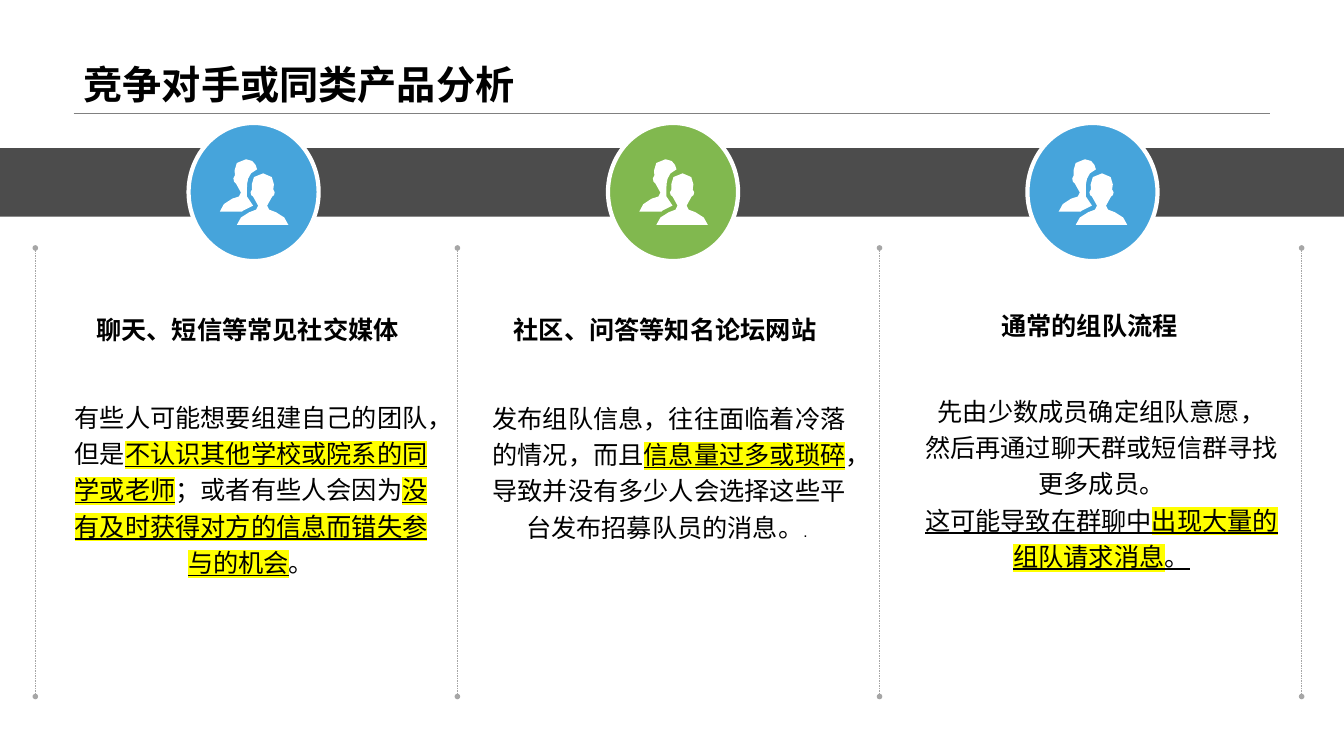
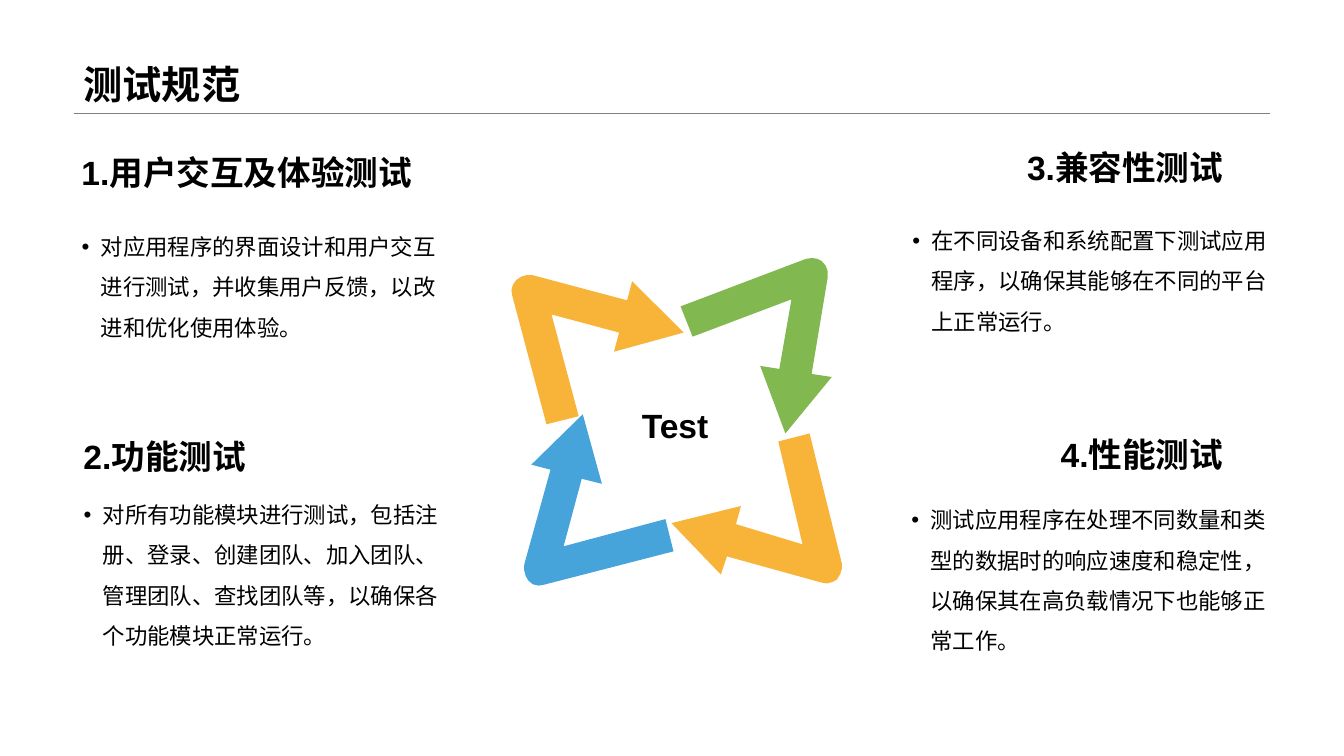
import dataclasses

import pptx
import pptx.dml.color
import pptx.enum.dml
import pptx.enum.shapes
import pptx.enum.text
import pptx.oxml
import pptx.oxml.ns
import pptx.util
from lxml import etree

Inches = pptx.util.Inches
Pt = pptx.util.Pt
qn = pptx.oxml.ns.qn
Align = pptx.enum.text.PP_ALIGN
Anchor = pptx.enum.text.MSO_ANCHOR
Preset = pptx.enum.shapes.MSO_SHAPE


@dataclasses.dataclass(frozen=True)
class Theme:
    """Colours, font and type sizes shared by the slides."""
    font: str = "Arial"
    ink: str = "000000"
    paper: str = "FFFFFF"
    rule: str = "808080"
    divider: str = "A6A6A6"
    marker: str = "FFFF00"
    blue: str = "46A4DB"
    green: str = "81B84F"
    amber: str = "F8B438"
    title: int = 28
    heading: int = 24
    column: int = 18
    bullet: int = 16
    small: int = 11


THEME = Theme()

# Outlines: a pair is a corner, six numbers are a Bezier curve to the last pair.
FRONT_PERSON = [
    (.49, .50), (.47, .46), (.52, .37), (.54, .37, .56, .32, .53, .30),
    (.54, .28, .56, .14, .43, .14), (.29, .14, .32, .28, .32, .30),
    (.29, .32, .31, .37, .33, .37), (.38, .46), (.36, .50),
    (.32, .51, .17, .57, .17, .65), (.68, .65), (.68, .57, .53, .51, .49, .50)]
BACK_PERSON = [
    (.23, .51), (.33, .46), (.29, .40), (.27, .37), (.27, .32), (.27, .28),
    (.27, .25, .27, .19, .31, .14), (.37, .10), (.36, .06, .34, 0, .26, 0),
    (.12, 0, .15, .14, .15, .16), (.12, .18, .14, .24, .16, .24),
    (.21, .33), (.19, .37), (.15, .37, 0, .44, 0, .52), (.22, .52)]

CYCLE_ARROWS = [
    (THEME.green, [
        (7.85, 2.97), (7.73, 3.66), (7.54, 3.63), (7.79, 4.3), (8.25, 3.74),
        (8.05, 3.71), (8.21, 2.75), (8.22, 2.69, 8.2, 2.63, 8.15, 2.59),
        (8.11, 2.56, 8.05, 2.55, 7.99, 2.57), (6.75, 3.04), (6.87, 3.34)]),
    (THEME.blue, [
        (5.77, 4.75), (5.97, 4.8), (5.78, 4.11), (5.27, 4.61), (5.46, 4.66),
        (5.2, 5.6), (5.19, 5.66, 5.21, 5.72, 5.24, 5.76),
        (5.28, 5.81, 5.34, 5.82, 5.4, 5.8), (6.68, 5.47), (6.6, 5.15),
        (5.59, 5.42)]),
    (THEME.amber, [
        (8.03, 4.3), (7.72, 4.38), (7.96, 5.4), (7.3, 5.2), (7.35, 5.02),
        (6.66, 5.19), (7.15, 5.7), (7.21, 5.52), (8.15, 5.78),
        (8.2, 5.8, 8.26, 5.78, 8.3, 5.75), (8.34, 5.7, 8.36, 5.64, 8.35, 5.59)]),
    (THEME.amber, [
        (5.42, 4.21), (5.74, 4.13), (5.47, 3.12), (6.14, 3.3), (6.09, 3.49),
        (6.78, 3.3), (6.27, 2.79), (6.22, 2.98), (5.28, 2.73),
        (5.22, 2.72, 5.16, 2.74, 5.12, 2.78), (5.08, 2.82, 5.06, 2.88, 5.08, 2.93)]),
]

UNDERLINED = {"underline": True}
MARKED = {"underline": True, "marked": True}

# Heading, its box, then the text's box and its paragraphs of (text, style) runs.
COMPETITORS = [
    ("聊天、短信等常见社交媒体", (0.6, 3.07, 3.71, 0.6), (0.57, 3.88, 3.84, 2.09), [
        [("有些人可能想要组建自己的团队，但是", {}),
         ("不认识其他学校或院系的同学或老师", MARKED),
         ("；或者有些人会因为", {}),
         ("没有及时获得对方的信息而错失参与的机会", MARKED),
         ("。", {})]]),
    ("社区、问答等知名论坛网站", (4.74, 3.07, 3.71, 0.78), (4.78, 3.89, 3.71, 2.09), [
        [("发布组队信息，往往面临着冷落的情况，而且", {}),
         ("信息量过多或琐碎", MARKED),
         ("，导致并没有多少人会选择这些平台发布招募队员的消息。", {}),
         (". ", {"size": THEME.small})]]),
    ("通常的组队流程", (8.95, 3.03, 3.71, 0.78), (9.07, 3.82, 3.71, 2.09), [
        [("先由少数成员确定组队意愿，", {})],
        [("然后再通过聊天群或短信群寻找更多成员。", {})],
        [("这可能导致在群聊中", UNDERLINED),
         ("出现大量的组队请求消息", MARKED),
         ("。", UNDERLINED)]]),
]

# Heading, its box, its alignment, then the list's box and item.
TESTS = [
    ("1.用户交互及体验测试", (0.71, 1.48, 3.93, 0.48), Align.LEFT,
     (0.71, 2.13, 3.93, 1.82),
     "对应用程序的界面设计和用户交互进行测试，并收集用户反馈，以改进和优化使用体验。"),
    ("2.功能测试", (0.73, 4.29, 3.93, 0.48), Align.LEFT,
     (0.73, 4.79, 3.93, 2.02),
     "对所有功能模块进行测试，包括注册、登录、创建团队、加入团队、管理团队、查找团队等，"
     "以确保各个功能模块正常运行。"),
    ("3.兼容性测试", (8.3, 1.43, 3.93, 0.48), Align.RIGHT,
     (8.95, 2.07, 3.93, 2.02),
     "在不同设备和系统配置下测试应用程序，以确保其能够在不同的平台上正常运行。"),
    ("4.性能测试", (8.3, 4.27, 3.93, 0.48), Align.RIGHT,
     (8.94, 4.84, 3.93, 2.02),
     "测试应用程序在处理不同数量和类型的数据时的响应速度和稳定性，"
     "以确保其在高负载情况下也能够正常工作。"),
]


def rgb(value):
    """Return a colour object for a hex string."""
    return pptx.dml.color.RGBColor.from_string(value)


def place(holder, box):
    """Move a shape to a box given in inches."""
    holder.left, holder.top, holder.width, holder.height = map(Inches, box)


def add_run(paragraph, text, size, bold=False, underline=False, marked=False):
    """Add one formatted run, optionally highlighted."""
    run = paragraph.add_run()
    run.text = text
    font = run.font
    font.size, font.bold, font.underline = Pt(size), bold, underline
    font.color.rgb = rgb(THEME.ink)
    properties = run._r.get_or_add_rPr()
    properties.set("lang", "zh-CN")
    if marked:
        highlight = etree.SubElement(properties, qn("a:highlight"))
        etree.SubElement(highlight, qn("a:srgbClr"), val=THEME.marker)
    font.name = THEME.font
    etree.SubElement(properties, qn("a:ea"), typeface=THEME.font)


def write(holder, paragraphs, size, align=Align.LEFT, anchor=Anchor.TOP,
          spacing=1.0, bold=False):
    """Fill a text holder with paragraphs of (text, style) runs."""
    frame = holder.text_frame
    frame.word_wrap = True
    frame.auto_size = pptx.enum.text.MSO_AUTO_SIZE.NONE
    frame.vertical_anchor = anchor
    for index, runs in enumerate(paragraphs):
        paragraph = frame.add_paragraph() if index else frame.paragraphs[0]
        paragraph.alignment = align
        paragraph.line_spacing = spacing
        paragraph.space_before = Pt(0)
        for text, style in runs:
            add_run(paragraph, text, **{"size": size, "bold": bold, **style})


def add_text(slide, box, paragraphs, size, **layout):
    """Add a text box."""
    holder = slide.shapes.add_textbox(*map(Inches, box))
    write(holder, paragraphs, size, **layout)


def add_heading(slide, box, text, size, **layout):
    """Add a single bold line of text."""
    add_text(slide, box, [[(text, {})]], size, bold=True, **layout)


def set_title(slide, text):
    """Place and fill the slide title."""
    place(slide.shapes.title, (0.73, 0, 11.87, 1.12))
    write(slide.shapes.title, [[(text, {})]], THEME.title,
          anchor=Anchor.BOTTOM, spacing=0.9, bold=True)


def fill_list(holder, box, item):
    """Turn a body placeholder into a bulleted list of one item."""
    place(holder, box)
    write(holder, [[(item, {})]], THEME.bullet, spacing=1.5)
    properties = holder.text_frame.paragraphs[0]._p.get_or_add_pPr()
    properties.set("marL", str(Inches(0.19)))
    properties.set("indent", str(-Inches(0.19)))
    etree.SubElement(properties, qn("a:buFont"), typeface=THEME.font)
    etree.SubElement(properties, qn("a:buChar"), char="•")


def add_line(slide, start, end, color, dotted_ends=False):
    """Add a hairline, either plain or dashed with small round ends."""
    line = slide.shapes.add_connector(
        pptx.enum.shapes.MSO_CONNECTOR.STRAIGHT, *map(Inches, start + end))
    line.line.color.rgb = rgb(color)
    line.line.width = Pt(0.25)
    if dotted_ends:
        line.line.dash_style = pptx.enum.dml.MSO_LINE.DASH
        for tag in ("a:headEnd", "a:tailEnd"):
            etree.SubElement(line.line._get_or_add_ln(), qn(tag),
                             type="oval", w="sm", len="sm")
    etree.SubElement(line._element.spPr, qn("a:effectLst"))
    return line


def paint(shape, fill, outline=None):
    """Give a shape a flat fill and an optional 3 pt outline."""
    shape.shadow.inherit = False
    shape.fill.solid()
    shape.fill.fore_color.rgb = rgb(fill)
    if outline:
        shape.line.color.rgb = rgb(outline)
        shape.line.width = Pt(3)
    else:
        shape.line.fill.background()


def trace(outline, left=0, top=0, steps=3):
    """Return an outline's points in EMU, with its curves sampled."""
    points = []
    for segment in outline:
        if len(segment) == 2:
            points.append(segment)
            continue
        controls = [points[-1], segment[:2], segment[2:4], segment[4:]]
        for step in range(1, steps + 1):
            t = step / steps
            weights = ((1 - t) ** 3, 3 * t * (1 - t) ** 2, 3 * t * t * (1 - t), t ** 3)
            points.append(tuple(
                sum(w * c[axis] for w, c in zip(weights, controls)) for axis in (0, 1)))
    return [(Inches(left + x), Inches(top + y)) for x, y in points]


def add_outline(slide, outlines, color, left=0, top=0):
    """Add one filled freeform made of closed outlines."""
    first, *others = [trace(outline, left, top) for outline in outlines]
    builder = slide.shapes.build_freeform(*first[0], scale=1.0)
    builder.add_line_segments(first[1:], close=True)
    for points in others:
        builder.move_to(*points[0])
        builder.add_line_segments(points[1:], close=True)
    paint(builder.convert_to_shape(), color)


def add_band(slide):
    """Add the translucent dark band behind the badges."""
    band = slide.shapes.add_shape(
        Preset.ROUNDED_RECTANGLE, *map(Inches, (0, 1.47, 13.37, 0.68)))
    band.adjustments[0] = 0
    paint(band, THEME.ink)
    color = band._element.spPr.find(qn("a:solidFill")).find(qn("a:srgbClr"))
    etree.SubElement(color, qn("a:alpha"), val="70000")


def add_badge(slide, left, color):
    """Add a round badge with two people in it."""
    badge = slide.shapes.add_shape(
        Preset.OVAL, *map(Inches, (left, 1.22, 1.29, 1.37)))
    paint(badge, color, THEME.paper)
    add_outline(slide, [FRONT_PERSON, BACK_PERSON], THEME.paper, left + 0.31, 1.58)


def add_master_rule(deck, slide):
    """Put the rule under the titles on the slide master."""
    rule = add_line(slide, (0.73, 1.12), (12.6, 1.12), THEME.rule)
    rule._element.nvCxnSpPr.cNvPr.set("id", "20")
    deck.slide_master.shapes._spTree.append(rule._element)


def build_competitors(slide):
    """Build the comparison of competing products."""
    set_title(slide, "竞争对手或同类产品分析")
    first, last = 0.35, 12.91
    for index in range(4):
        x = first + index * (last - first) / 3
        add_line(slide, (x, 2.46), (x, 6.91), THEME.divider, dotted_ends=True)
    add_band(slide)
    badge_colors = (THEME.blue, THEME.green, THEME.blue)
    for index, (heading, heading_box, box, paragraphs) in enumerate(COMPETITORS):
        add_badge(slide, 1.87 + 4.16 * index, badge_colors[index])
        add_heading(slide, heading_box, heading, THEME.column, align=Align.CENTER)
        add_text(slide, box, paragraphs, THEME.column, align=Align.CENTER, spacing=1.2)


def build_tests(slide):
    """Build the four kinds of test around a cycle of arrows."""
    set_title(slide, "测试规范")
    for color, outline in CYCLE_ARROWS:
        add_outline(slide, [outline], color)
    add_heading(slide, (5.4, 3.91, 2.59, 0.62), "Test", THEME.heading,
                align=Align.CENTER, anchor=Anchor.MIDDLE)
    bodies = list(slide.placeholders)[1:]
    for body, (heading, heading_box, align, box, item) in zip(bodies, TESTS):
        add_heading(slide, heading_box, heading, THEME.heading,
                    align=align, anchor=Anchor.BOTTOM)
        fill_list(body, box, item)


def main():
    """Build and save the deck."""
    deck = pptx.Presentation()
    deck.slide_width, deck.slide_height = Inches(13.33), Inches(7.5)
    competitors = deck.slides.add_slide(deck.slide_layouts.get_by_name("Title Only"))
    tests = deck.slides.add_slide(deck.slide_layouts.get_by_name("Comparison"))
    add_master_rule(deck, competitors)
    build_competitors(competitors)
    build_tests(tests)
    deck.save("out.pptx")


main()
